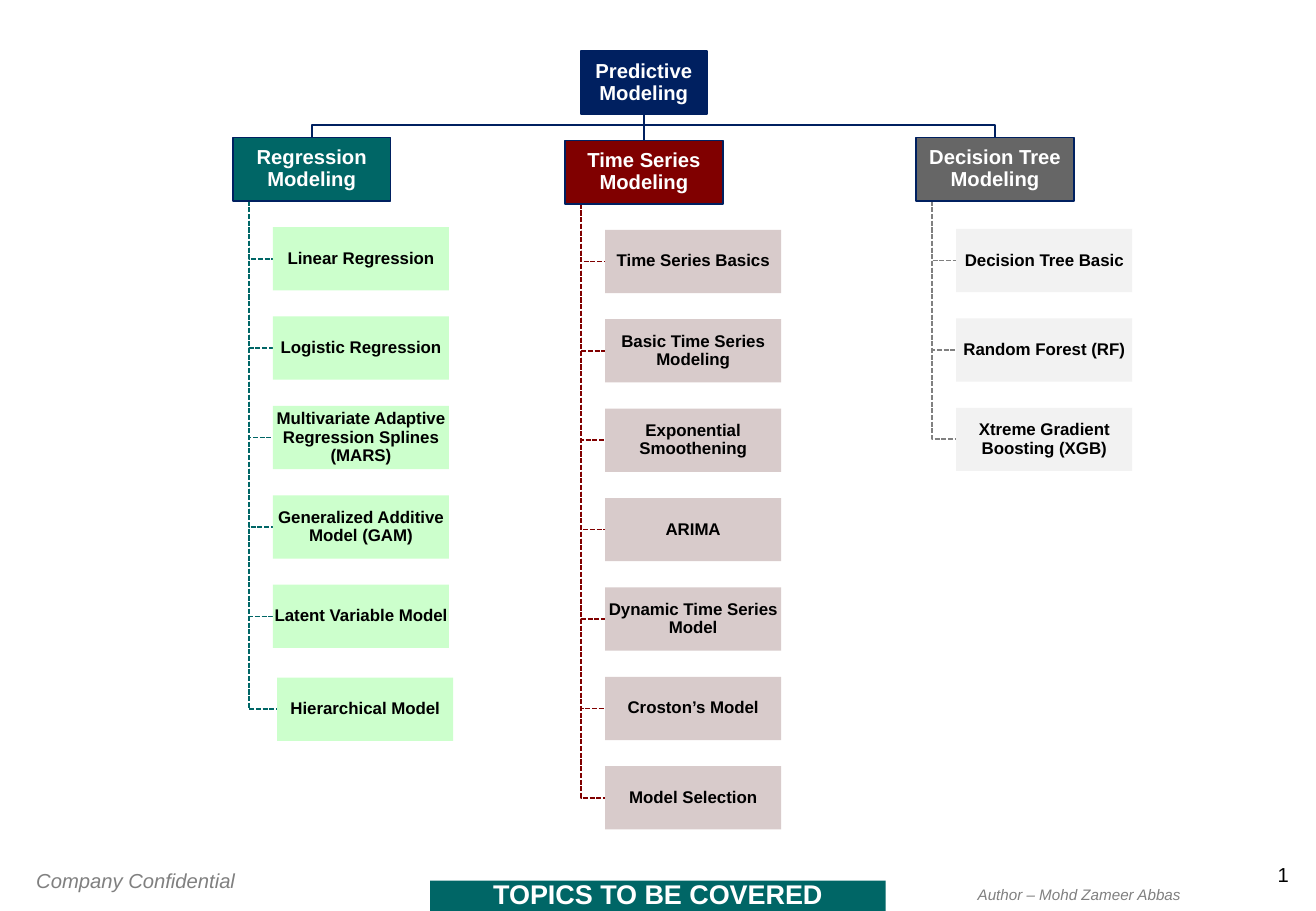
from lxml import etree
from pptx import Presentation
from pptx.dml.color import RGBColor
from pptx.enum import dml, shapes, text
from pptx.oxml import ns
from pptx.util import Pt

HUES = {
    "navy": "002060", "teal": "006666", "red": "800000", "gray": "666666",
    "mint": "CCFFCC", "rose": "D8CBCB", "pale": "F2F2F2",
    "mid": "808080", "white": "FFFFFF", "black": "000000",
}
HUES = {name: RGBColor.from_string(code) for name, code in HUES.items()}

deck = Presentation()
deck.slide_width, deck.slide_height = Pt(780), Pt(540)
slide = deck.slides.add_slide(deck.slide_layouts[6])
pool = slide.shapes

HIGH = 37.5
ROOT_X, ROOT_Y, ROOT_W = 344.2, 30.2, 74.8
HEAD_W, ITEM_W = 93.6, 104.4
SPINE, INDENT, STEP = 9.5, 23.7, 53
MID = ROOT_X + ROOT_W / 2
BASE, BUS = ROOT_Y + HIGH, 74


def add_box(words, x, y, wide, high, fill, edge, size, ink):
    box = pool.add_shape(shapes.MSO_SHAPE.RECTANGLE, Pt(x), Pt(y), Pt(wide), Pt(high))
    box.shadow.inherit = False
    box.fill.solid()
    box.fill.fore_color.rgb = HUES[fill]
    if edge:
        box.line.color.rgb = HUES[edge]
        box.line.width = Pt(1)
    else:
        box.line.fill.background()
    frame = box.text_frame
    frame.word_wrap = True
    frame.vertical_anchor = text.MSO_ANCHOR.MIDDLE
    frame.margin_left = frame.margin_right = Pt(0.72)
    frame.margin_top = frame.margin_bottom = Pt(0.72)
    para = frame.paragraphs[0]
    para.text = words
    para.alignment = text.PP_ALIGN.CENTER
    para.line_spacing = 0.9
    para.font.name, para.font.size, para.font.bold = "Arial", Pt(size), True
    para.font.color.rgb = HUES[ink]


def add_elbow(points, hue, dash=None):
    spots = [(Pt(x), Pt(y)) for x, y in points]
    pen = pool.build_freeform(*spots[0])
    pen.add_line_segments(spots[1:], close=False)
    elbow = pen.convert_to_shape()
    elbow.shadow.inherit = False
    elbow.fill.background()
    elbow.line.color.rgb = HUES[hue]
    elbow.line.width = Pt(1)
    elbow.line.dash_style = dash


groups = [
    ("Regression Modeling", 138, 81.5, 134.6, "teal", "mint", "teal", [
        "Linear Regression", "Logistic Regression",
        "Multivariate Adaptive Regression Splines (MARS)",
        "Generalized Additive Model (GAM)", "Latent Variable Model",
        "Hierarchical Model"]),
    ("Time Series Modeling", 334.9, 83.3, 136.2, "red", "rose", "red", [
        "Time Series Basics", "Basic Time Series Modeling",
        "Exponential Smoothening", "ARIMA", "Dynamic Time Series Model",
        "Croston’s Model", "Model Selection"]),
    ("Decision Tree Modeling", 543, 81.5, 135.7, "gray", "pale", "mid", [
        "Decision Tree Basic", "Random Forest (RF)",
        "Xtreme Gradient Boosting (XGB)"]),
]

for head, x, y, top, dark, light, hue, items in groups:
    if head == "Time Series Modeling":
        stem = pool.add_connector(shapes.MSO_CONNECTOR.STRAIGHT,
                                  Pt(MID), Pt(BASE), Pt(MID), Pt(y))
        stem.line.color.rgb = HUES["navy"]
        stem.line.width = Pt(1)
        etree.SubElement(stem._element.spPr, ns.qn("a:effectLst"))
    else:
        goal = x + HEAD_W / 2
        add_elbow([(MID, BASE), (MID, BUS), (goal, BUS), (goal, y)], "navy")
    for row, item in enumerate(items):
        left, rise = x + INDENT, top + row * STEP
        if item == "Hierarchical Model":
            left, rise = left + 2.5, rise + 2
        center = rise + HIGH / 2
        add_elbow([(x + SPINE, y + HIGH), (x + SPINE, center), (left, center)],
                  hue, dml.MSO_LINE.SQUARE_DOT)
        add_box(item, left, rise, ITEM_W, HIGH, light, None, 10, "black")
    add_box(head, x, y, HEAD_W, HIGH, dark, "navy", 12, "white")

add_box("Predictive Modeling", ROOT_X, ROOT_Y, ROOT_W, HIGH, "navy", "navy", 12, "white")
add_box("TOPICS TO BE COVERED", 255, 522, 270, 18, "teal", None, 16, "white")

notes = [
    ("Company Confidential", 14.4, 511.2, 160, 21.6, 12, "mid"),
    ("Author – Mohd Zameer Abbas", 572.4, 521.3, 144, 18, 9, "mid"),
    ("1", 748.8, 511.2, 15.1, 14.4, 12, "black"),
]
for words, x, y, wide, high, size, ink in notes:
    note = pool.add_textbox(Pt(x), Pt(y), Pt(wide), Pt(high))
    frame = note.text_frame
    frame.word_wrap = True
    para = frame.paragraphs[0]
    para.text = words
    para.font.name, para.font.size = "Arial", Pt(size)
    para.font.color.rgb = HUES[ink]
    para.font.italic = ink == "mid"
    if words == "1":
        frame.margin_left = frame.margin_right = 0
        frame.margin_top = frame.margin_bottom = 0
        para.alignment = text.PP_ALIGN.RIGHT

deck.save("out.pptx")
